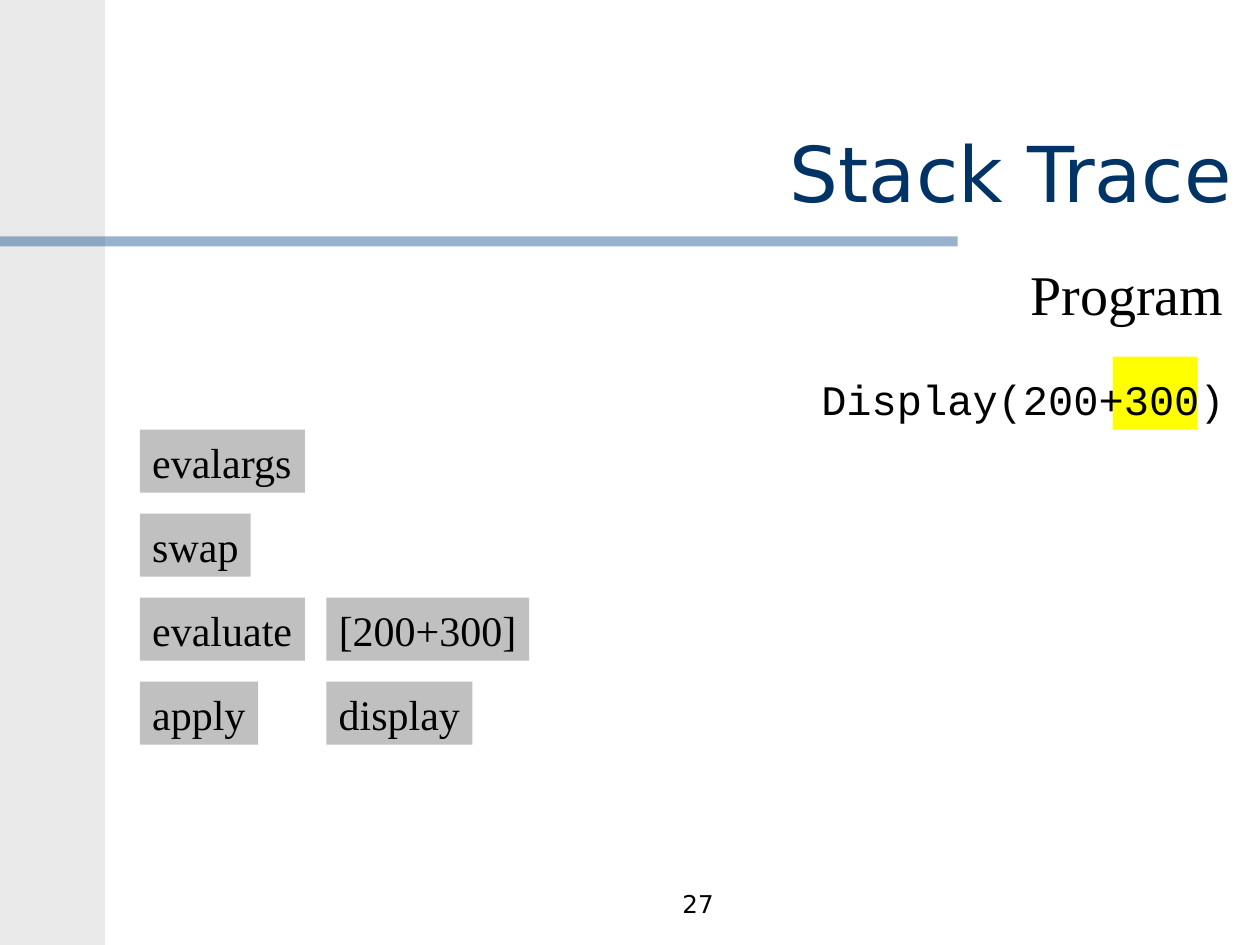
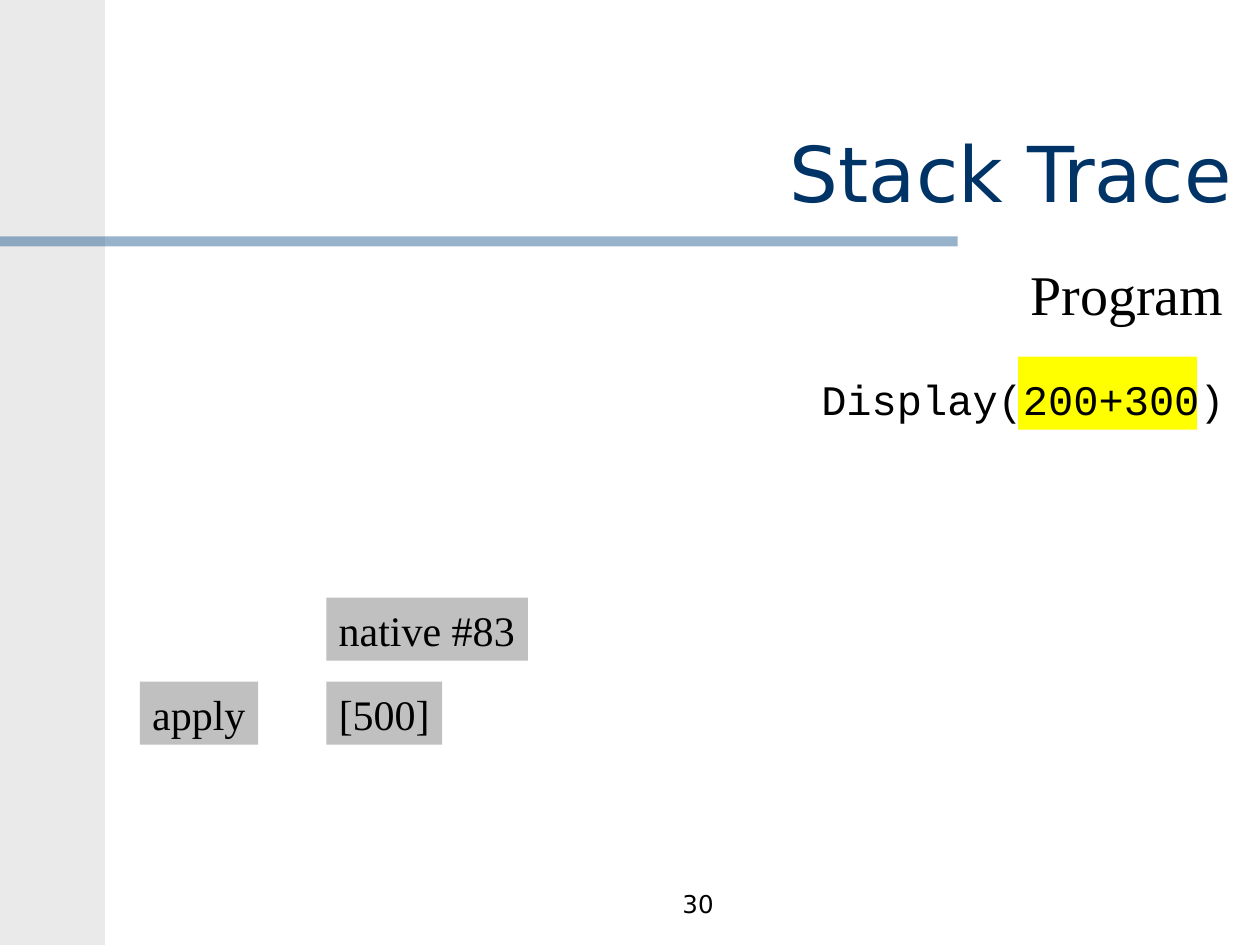
from pptx import Presentation
from pptx.dml.color import RGBColor
from pptx.enum.shapes import MSO_SHAPE
from pptx.enum.text import MSO_ANCHOR, PP_ALIGN
from pptx.oxml.ns import qn
from pptx.util import Inches, Pt
from lxml.etree import SubElement

TITLE = "Stack Trace"
HEADING = "Program"
CODE = "Display(200+300)"
SLIDES = [
    {"number": "27", "highlight_left": 8.83,
     "stack": [[("apply", 0.94), ("display", 1.16)],
               [("evaluate", 1.31), ("[200+300]", 1.61)],
               [("swap", 0.88)],
               [("evalargs", 1.31)]]},
    {"number": "30", "highlight_left": 8.08,
     "stack": [[("apply", 0.94), ("[500]", 0.92)],
               [None, ("native #83", 1.6)]]},
]

COLORS = {"page": "EAEAEA", "panel": "FFFFFF", "rule": "336699", "title": "003366",
          "text": "000000", "highlight": "FFFF00", "frame": "C0C0C0"}
SANS, SERIF, MONO = "DejaVu Sans", "Times New Roman", "Courier New"
WIDTH, HEIGHT = 10, 7.5
PANEL_LEFT = WIDTH / 12
HIGHLIGHT_RIGHT = 9.5
COLUMNS = (1.11, 2.59)
STACK_BOTTOM, ROW_STEP, FRAME_HEIGHT = 5.41, 2 / 3, 0.5


def rgb(name):
    return RGBColor.from_string(COLORS[name])


def place(sp, box):
    sp.left, sp.top, sp.width, sp.height = (Inches(v) for v in box)


def add_rect(slide, box, color, alpha=None):
    sp = slide.shapes.add_shape(MSO_SHAPE.RECTANGLE, *(Inches(v) for v in box))
    sp.shadow.inherit = False
    sp.fill.solid()
    sp.fill.fore_color.rgb = rgb(color)
    sp.line.fill.background()
    if alpha is not None:
        clr = sp.fill._xPr.find(qn("a:solidFill"))[0]
        SubElement(clr, qn("a:alpha")).set("val", str(alpha * 1000))
    return sp


def write(sp, text, font=SERIF, size=24, color="text", align=PP_ALIGN.LEFT, wrap=False):
    tf = sp.text_frame
    tf.word_wrap = wrap
    tf.vertical_anchor = MSO_ANCHOR.BOTTOM
    tf.margin_left = tf.margin_right = Inches(0.1)
    tf.margin_top = tf.margin_bottom = Inches(0.05)
    p = tf.paragraphs[0]
    p.alignment = align
    r = p.add_run()
    r.text = text
    r.font.name = font
    r.font.size = Pt(size)
    r.font.color.rgb = rgb(color)


def add_text(slide, box, text, **fmt):
    write(slide.shapes.add_textbox(*(Inches(v) for v in box)), text, **fmt)


def add_base(prs, number):
    slide = prs.slides.add_slide(prs.slide_layouts[5])
    add_rect(slide, (PANEL_LEFT, 0, WIDTH - PANEL_LEFT, HEIGHT), "panel")
    add_rect(slide, (0, HEIGHT / 4, 7.6, 0.08), "rule", alpha=50)
    add_text(slide, (4.83, 6.97, 1.42, 0.37), number, font=SANS, size=14,
             align=PP_ALIGN.CENTER, wrap=True)
    title = slide.shapes.title
    slide.shapes._spTree.append(title._element)
    place(title, (0.95, 0.94, 8.93, 0.84))
    write(title, TITLE, font=SANS, size=44, color="title", align=PP_ALIGN.RIGHT, wrap=True)
    return slide


def add_program(slide, highlight_left):
    add_text(slide, (8.08, 2, 1.73, 0.64), HEADING, size=32)
    add_rect(slide, (highlight_left, 2.83, HIGHLIGHT_RIGHT - highlight_left, 0.58), "highlight")
    add_text(slide, (6.42, 2.91, 3.4, 0.5), CODE, font=MONO)


def add_stack(slide, stack):
    for level, row in enumerate(stack):
        top = STACK_BOTTOM - level * ROW_STEP
        for left, frame in zip(COLUMNS, row):
            if frame:
                text, width = frame
                write(add_rect(slide, (left, top, width, FRAME_HEIGHT), "frame"), text)


def main():
    prs = Presentation()
    prs.slide_width, prs.slide_height = Inches(WIDTH), Inches(HEIGHT)
    fill = prs.slide_master.background.fill
    fill.solid()
    fill.fore_color.rgb = rgb("page")
    for content in SLIDES:
        slide = add_base(prs, content["number"])
        add_program(slide, content["highlight_left"])
        add_stack(slide, content["stack"])
    prs.save("out.pptx")


if __name__ == "__main__":
    main()
